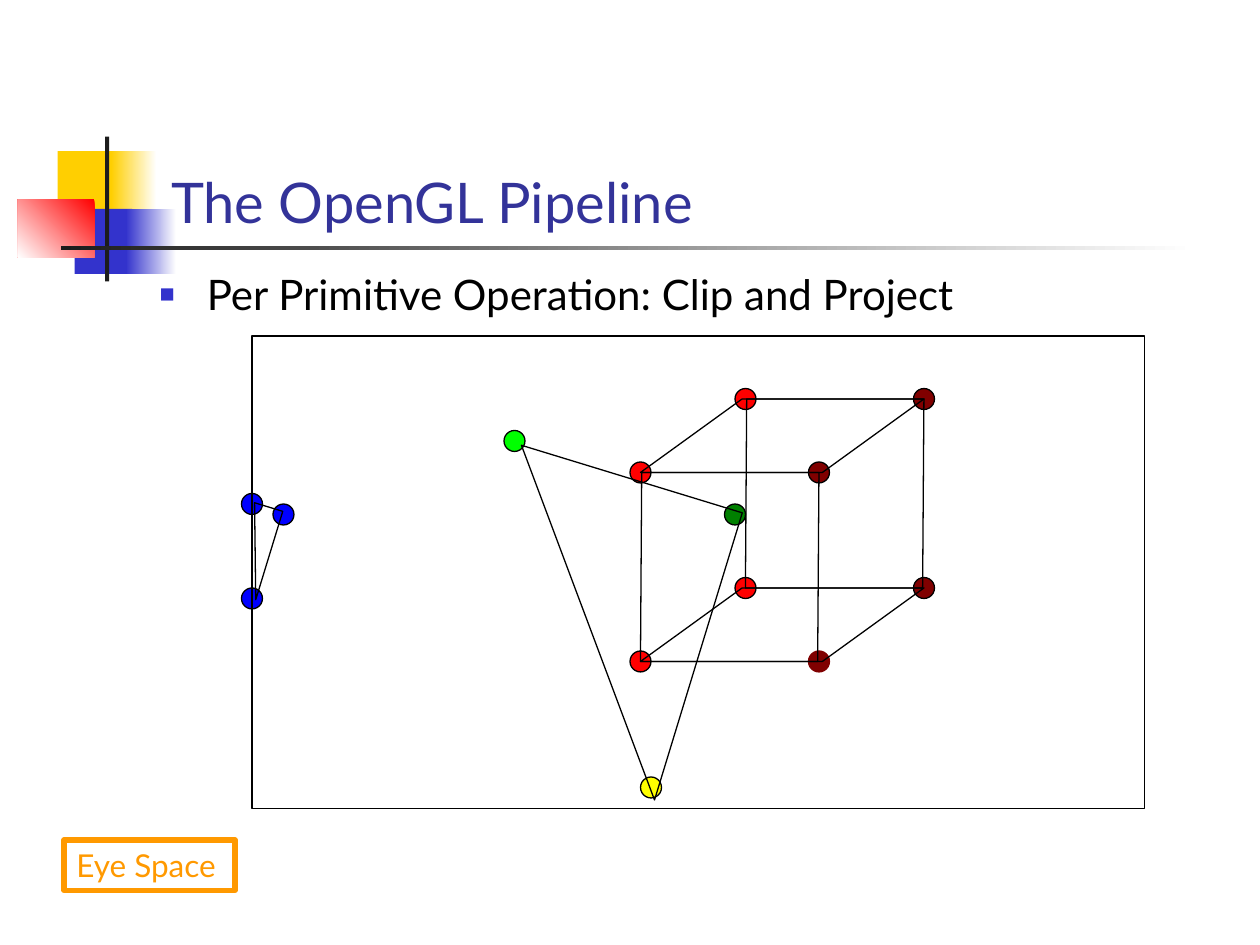
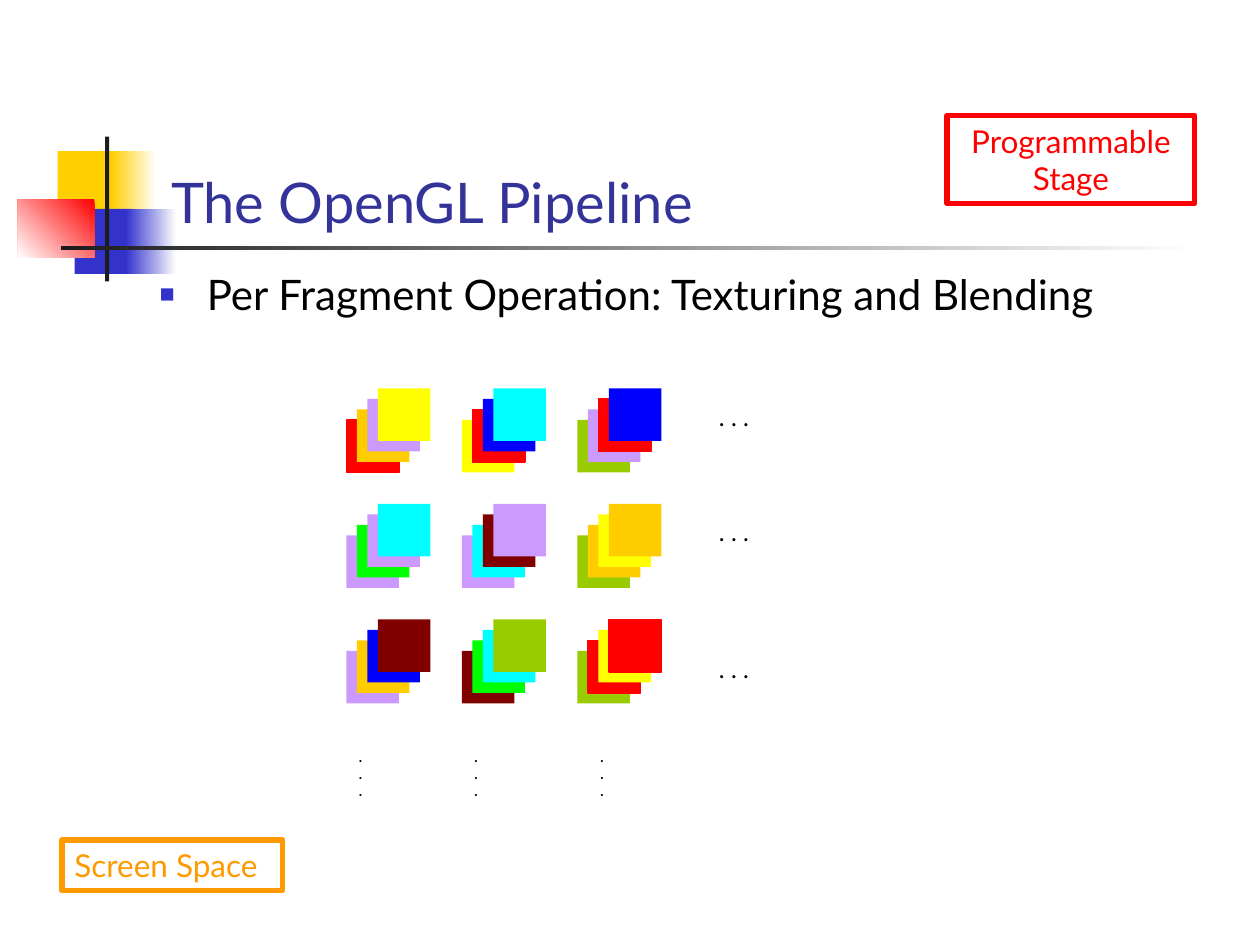
from dataclasses import dataclass

from lxml import etree
from pptx import Presentation
from pptx.dml.color import RGBColor
from pptx.enum.shapes import MSO_SHAPE
from pptx.enum.text import MSO_ANCHOR, MSO_AUTO_SIZE, PP_ALIGN
from pptx.oxml.ns import qn
from pptx.util import Pt

RECT = MSO_SHAPE.RECTANGLE
OVAL = MSO_SHAPE.OVAL
RIGHT_TRIANGLE = MSO_SHAPE.RIGHT_TRIANGLE
PARALLELOGRAM = MSO_SHAPE.PARALLELOGRAM
TOP, BOTTOM = MSO_ANCHOR.TOP, MSO_ANCHOR.BOTTOM
LEFT, CENTER = PP_ALIGN.LEFT, PP_ALIGN.CENTER
FIXED, GROW = MSO_AUTO_SIZE.NONE, MSO_AUTO_SIZE.SHAPE_TO_FIT_TEXT
PX = 7620


@dataclass(frozen=True)
class Theme:
    font: str = "Lato"
    title_size: int = 32
    body_size: int = 24
    label_size: int = 18
    row_dots_size: int = 14
    column_dots_size: int = 8
    thin: float = 0.75
    thick: float = 3
    title: str = "333399"
    ink: str = "1C1C1C"
    gold: str = "FFCF01"
    indigo: str = "3333CC"
    space: str = "FF9900"
    black: str = "000000"
    white: str = "FFFFFF"
    red: str = "FF0000"
    maroon: str = "800000"
    green: str = "00FF00"
    dark_green: str = "008000"
    yellow: str = "FFFF00"
    blue: str = "0000FF"
    cyan: str = "00FFFF"
    lilac: str = "CC99FF"
    amber: str = "FFCC00"
    lime: str = "99CC00"


T = Theme()


def draw(slide, kind, box, fill=None, line=None, width=T.thin):
    shape = slide.shapes.add_shape(kind, *(v * PX for v in box))
    shape.shadow.inherit = False
    if isinstance(fill, tuple):
        start, end, angle = fill
        shape.fill.gradient()
        shape.fill.gradient_angle = angle
        for stop, color in zip(shape.fill.gradient_stops, (start, end)):
            stop.color.rgb = RGBColor.from_string(color)
    elif fill:
        shape.fill.solid()
        shape.fill.fore_color.rgb = RGBColor.from_string(fill)
    else:
        shape.fill.background()
    if line:
        shape.line.color.rgb = RGBColor.from_string(line)
        shape.line.width = Pt(width)
    else:
        shape.line.fill.background()
    return shape


def write(holder, text, size, color, box=None, align=LEFT, anchor=TOP,
          bold=False, wrap=False, fit=GROW, bullet=None):
    if box:
        holder.left, holder.top, holder.width, holder.height = (v * PX for v in box)
    frame = holder.text_frame
    frame.text = text
    frame.word_wrap = wrap
    frame.auto_size = fit
    frame.vertical_anchor = anchor
    for paragraph in frame.paragraphs:
        paragraph.alignment = align
        paragraph.space_before = Pt(0)
        if bullet:
            props = paragraph._p.get_or_add_pPr()
            props.set("marL", str(45 * PX))
            props.set("indent", str(-45 * PX))
            tint = etree.SubElement(props, qn("a:buClr"))
            etree.SubElement(tint, qn("a:srgbClr"), val=bullet)
            etree.SubElement(props, qn("a:buSzPct"), val="60000")
            etree.SubElement(props, qn("a:buChar"), char="■")
        for run in paragraph.runs:
            run.font.name = T.font
            run.font.size = Pt(size)
            run.font.bold = bold
            run.font.color.rgb = RGBColor.from_string(color)


prs = Presentation()
prs.slide_width, prs.slide_height = 1200 * PX, 900 * PX
layout = prs.slide_layouts[1]

topics = (
    ("Per Primitive Operation: Clip and Project", 540),
    ("Per Fragment Operation: Texturing and Blending", 60),
)
slides = []
for topic, height in topics:
    slide = prs.slides.add_slide(layout)
    heading, body = slide.placeholders
    write(heading, "The OpenGL Pipeline", T.title_size, T.title, box=(151, 80, 1022, 150),
          anchor=BOTTOM, wrap=True, fit=FIXED)
    write(body, topic, T.body_size, T.black, box=(140, 250, 1020, height),
          wrap=True, fit=FIXED, bullet=T.indigo)
    slides.append(slide)
clipping, blending = slides

ornaments = (
    ((55, 144, 58, 62), T.gold),
    ((106, 144, 43, 62), (T.white, T.gold, 180)),
    ((71, 199, 55, 62), T.indigo),
    ((120, 199, 48, 62), (T.white, T.indigo, 180)),
    ((17, 190, 73, 55), (T.red, T.white, 225)),
    ((100, 130, 4, 138), T.ink),
    ((58, 234, 1080, 4), (T.white, T.ink, 180)),
)
for depth, (box, fill) in enumerate(ornaments):
    ornament = draw(clipping, RECT, box, fill)
    layout.shapes.element.insert(2 + depth, ornament.element)

labels = (
    (clipping, "Eye Space", (61, 800, 163, 48), T.space, LEFT),
    (blending, "Screen Space", (59, 800, 210, 48), T.space, LEFT),
    (blending, "Programmable\nStage", (902, 110, 236, 84), T.red, CENTER),
)
for slide, text, box, color, align in labels:
    label = draw(slide, RECT, box, line=color, width=T.thick)
    write(label, text, T.label_size, color, align=align)

vertices = (
    (480, 410, T.green), (610, 740, T.yellow), (690, 480, T.dark_green),
    (600, 440, T.red), (770, 440, T.maroon), (600, 620, T.red), (770, 620, T.maroon),
    (700, 370, T.red), (870, 370, T.maroon), (700, 550, T.red), (870, 550, T.maroon),
    (230, 470, T.blue), (260, 480, T.blue), (230, 560, T.blue),
)
for x, y, color in vertices:
    outline = T.maroon if (x, y) == (770, 620) else T.black
    draw(clipping, OVAL, (x, y, 20, 20), color, outline)

cube_faces = (
    ((610, 450, 170, 180), 0.007),
    ((710, 380, 170, 180), 0.007),
    ((610, 380, 270, 70), 1.382),
    ((610, 560, 270, 70), 1.382),
)
for box, slant in cube_faces:
    face = draw(clipping, PARALLELOGRAM, box, line=T.black)
    face.adjustments[0] = slant

for box in ((450, 450, 220, 286), (229, 481, 28, 88)):
    triangle = draw(clipping, RIGHT_TRIANGLE, box, line=T.black)
    triangle.rotation = 197

draw(clipping, RECT, (240, 320, 850, 450), line=T.black)

fragment_rows = (
    ((T.red, T.amber, T.lilac, T.yellow),
     (T.yellow, T.red, T.blue, T.cyan),
     (T.lime, T.lilac, T.red, T.blue)),
    ((T.lilac, T.green, T.lilac, T.cyan),
     (T.lilac, T.cyan, T.maroon, T.lilac),
     (T.lime, T.amber, T.yellow, T.amber)),
    ((T.lilac, T.amber, T.blue, T.maroon),
     (T.maroon, T.green, T.cyan, T.lime),
     (T.lime, T.red, T.yellow, T.red)),
)
for row, stacks in enumerate(fragment_rows):
    for column, layers in enumerate(stacks):
        for depth, color in enumerate(layers):
            box = (330 + 110 * column + 10 * depth, 400 + 110 * row - 10 * depth, 50, 50)
            draw(blending, RECT, box, color, T.red if color == T.red else None)

for y in (377, 487, 617):
    row_dots = blending.shapes.add_textbox(0, 0, 0, 0)
    write(row_dots, ". . .", T.row_dots_size, T.black, box=(673, y, 55, 41))

for x in (330, 440, 560):
    column_dots = blending.shapes.add_textbox(0, 0, 0, 0)
    write(column_dots, ".\n.\n.", T.column_dots_size, T.black, box=(x, 707, 28, 60), bold=True)

prs.save("out.pptx")
